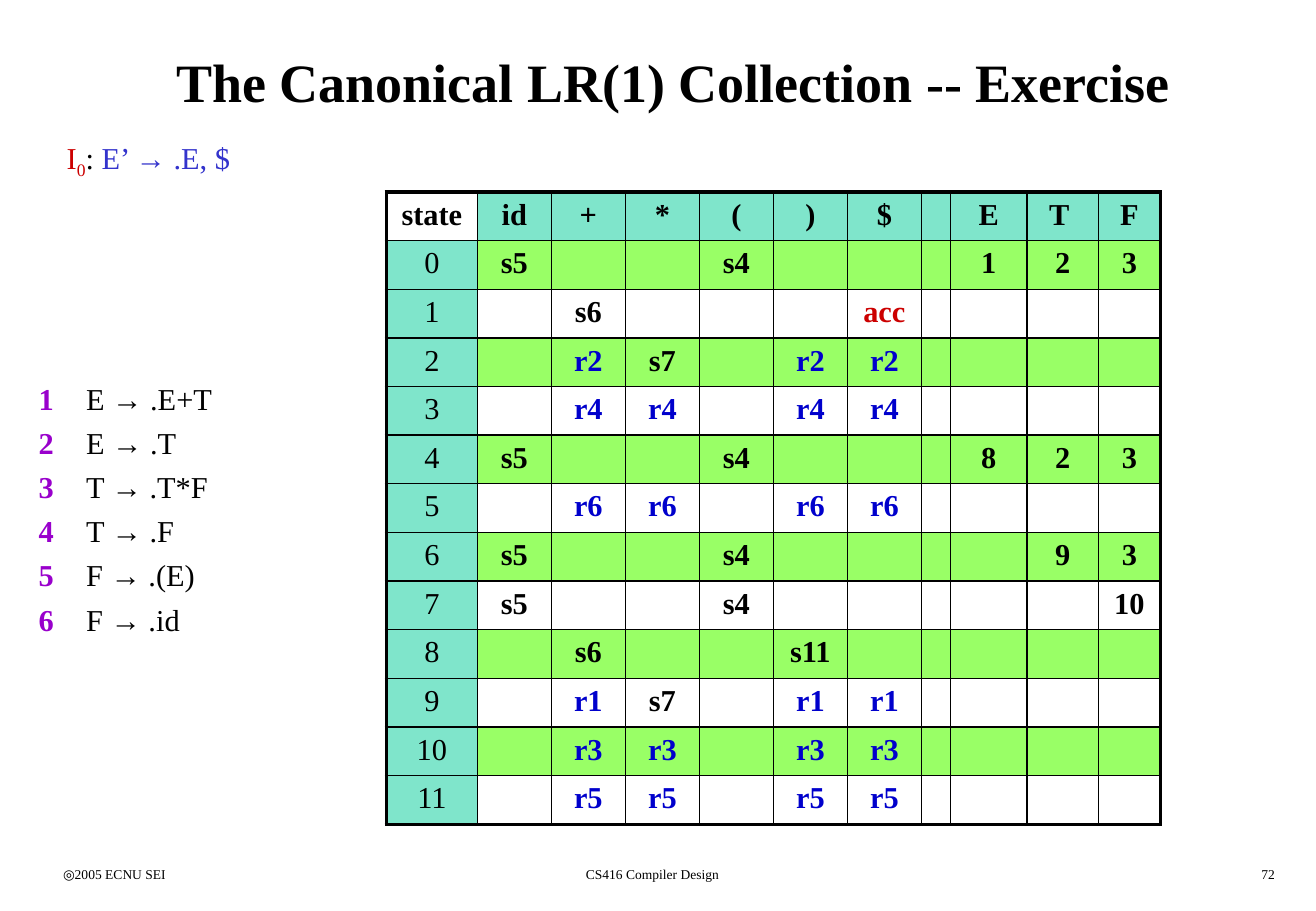
from pptx import Presentation
from pptx.dml.color import RGBColor
from pptx.enum.text import MSO_ANCHOR, PP_ALIGN
from pptx.oxml.ns import qn
from pptx.util import Inches, Pt
from lxml.etree import SubElement

FONT = "Times New Roman"
BLACK, RED, BLUE, INDIGO, PURPLE = "000000", "CC0000", "0000CC", "3333CC", "9900CC"
TEAL, GREEN = "00CC99", "99FF66"
LEFT, CENTER, RIGHT = PP_ALIGN.LEFT, PP_ALIGN.CENTER, PP_ALIGN.RIGHT

TITLE = "The Canonical LR(1) Collection -- Exercise"
START_ITEM = [("I", RED, False), ("0", RED, True), (": ", BLACK, False),
              ("E’ → .E, $", INDIGO, False)]
PRODUCTIONS = ["E → .E+T", "E → .T", "T → .T*F", "T → .F", "F → .(E)", "F → .id"]
FOOTERS = [("◎2005 ECNU SEI", LEFT, 3.88, 20.87),
           ("CS416 Compiler Design", CENTER, 30.84, 37.49),
           ("72", RIGHT, 76.92, 20.87)]

COLUMNS = ["state", "id", "+", "*", "(", ")", "$", "", "E", "T ", "F"]
COLUMN_WEIGHTS = [75] + [61] * 6 + [23, 63, 59, 51]
SHIFT_OPERAND = {"id": "s5", "(": "s4"}


def reduce_by(number):
    return dict.fromkeys("+*)$", f"r{number}")


STATES = [
    {**SHIFT_OPERAND, "E": "1", "T ": "2", "F": "3"},
    {"+": "s6", "$": "acc"},
    {**reduce_by(2), "*": "s7"},
    reduce_by(4),
    {**SHIFT_OPERAND, "E": "8", "T ": "2", "F": "3"},
    reduce_by(6),
    {**SHIFT_OPERAND, "T ": "9", "F": "3"},
    {**SHIFT_OPERAND, "F": "10"},
    {"+": "s6", ")": "s11"},
    {**reduce_by(1), "*": "s7"},
    reduce_by(3),
    reduce_by(5),
]

# Left, top, width, height in percent of the slide
TITLE_BOX = (3.88, 2.27, 94.64, 13.33)
START_BOX = (4.16, 14.6, 20.5, 6.27)
NUMBER_BOX = (2.03, 41.1, 4.99, 33)
PRODUCTION_BOX = (5.63, 41.1, 15.3, 33)
TABLE_BOX = (29.36, 21.07, 58.73, 69.4)
FOOTER_TOP, FOOTER_HEIGHT = 94.4, 3.33

presentation = Presentation()
presentation.slide_width, presentation.slide_height = Inches(10.83), Inches(7.5)
slide = presentation.slides.add_slide(presentation.slide_layouts[6])


def color(value):
    return RGBColor.from_string(value)


def place(box):
    """Turn percent of the slide into lengths."""
    sides = (presentation.slide_width, presentation.slide_height) * 2
    return [round(share * side / 100) for share, side in zip(box, sides)]


def set_font(font, size, value=BLACK, bold=False):
    for name, setting in {"name": FONT, "size": Pt(size), "bold": bold}.items():
        setattr(font, name, setting)
    font.color.rgb = color(value)


def add_text(box, lines, size, value=BLACK, bold=False, align=LEFT, anchor=MSO_ANCHOR.TOP):
    """Add a text box; each line is a list of (text, colour, subscript) or a string."""
    frame = slide.shapes.add_textbox(*place(box)).text_frame
    frame.word_wrap = True
    frame.vertical_anchor = anchor
    for index, line in enumerate(lines):
        paragraph = frame.add_paragraph() if index else frame.paragraphs[0]
        paragraph.alignment = align
        if index:
            paragraph.space_before = Pt(4.5)
        for text, run_color, subscript in [(line, value, False)] if isinstance(line, str) else line:
            run = paragraph.add_run()
            run.text = text
            set_font(run.font, size, run_color, bold)
            if subscript:
                run.font._element.set("baseline", "-25000")


def set_borders(cell, widths):
    properties = cell._tc.get_or_add_tcPr()
    for side, width in widths.items():
        line = SubElement(properties, qn(f"a:ln{side}"), w=str(Pt(width)))
        fill = SubElement(line, qn("a:solidFill"))
        SubElement(fill, qn("a:srgbClr"), val=BLACK)


def fill_cell(cell, row, column):
    heading = row == 0 or column == 0
    if row == column == 0 or (not heading and row % 2 == 0):
        cell.fill.background()
        return
    cell.fill.solid()
    cell.fill.fore_color.rgb = color(TEAL if heading else GREEN)
    if heading:
        rgb = cell._tc.tcPr.find(f"{qn('a:solidFill')}/{qn('a:srgbClr')}")
        SubElement(rgb, qn("a:alpha"), val="50000")


def action_color(action):
    if action == "acc":
        return RED
    return BLUE if action.startswith("r") else BLACK


def add_parsing_table():
    rows = [COLUMNS] + [[str(number)] + [state.get(name, "") for name in COLUMNS[1:]]
                        for number, state in enumerate(STATES)]
    last_row, last_column = len(rows) - 1, len(COLUMNS) - 1
    left, top, width, height = place(TABLE_BOX)
    table = slide.shapes.add_table(len(rows), len(COLUMNS), left, top, width, height).table
    table.first_row = table.horz_banding = False
    for column, weight in zip(table.columns, COLUMN_WEIGHTS):
        column.width = round(width * weight / sum(COLUMN_WEIGHTS))
    for table_row in table.rows:
        table_row.height = round(height / len(rows))
    for row, texts in enumerate(rows):
        for column, text in enumerate(texts):
            cell = table.cell(row, column)
            edges = {"L": column == 0, "R": column == last_column,
                     "T": row == 0, "B": row == last_row}
            set_borders(cell, {side: 2.25 if outer else 1 for side, outer in edges.items()})
            fill_cell(cell, row, column)
            paragraph = cell.text_frame.paragraphs[0]
            paragraph.alignment = CENTER
            if text:
                run = paragraph.add_run()
                run.text = text
                value = action_color(text) if row else BLACK
                set_font(run.font, 18, value, bold=row == 0 or column > 0)
            else:
                set_font(paragraph.font, 18)


add_text(TITLE_BOX, [TITLE], 32, bold=True, align=CENTER, anchor=MSO_ANCHOR.MIDDLE)
for text, align, left, width in FOOTERS:
    add_text((left, FOOTER_TOP, width, FOOTER_HEIGHT), [text], 8, align=align)
add_text(START_BOX, [START_ITEM], 18)
add_text(PRODUCTION_BOX, PRODUCTIONS, 18)
add_text(NUMBER_BOX, [str(number + 1) for number in range(len(PRODUCTIONS))], 18, PURPLE, True)
add_parsing_table()
presentation.save("out.pptx")
